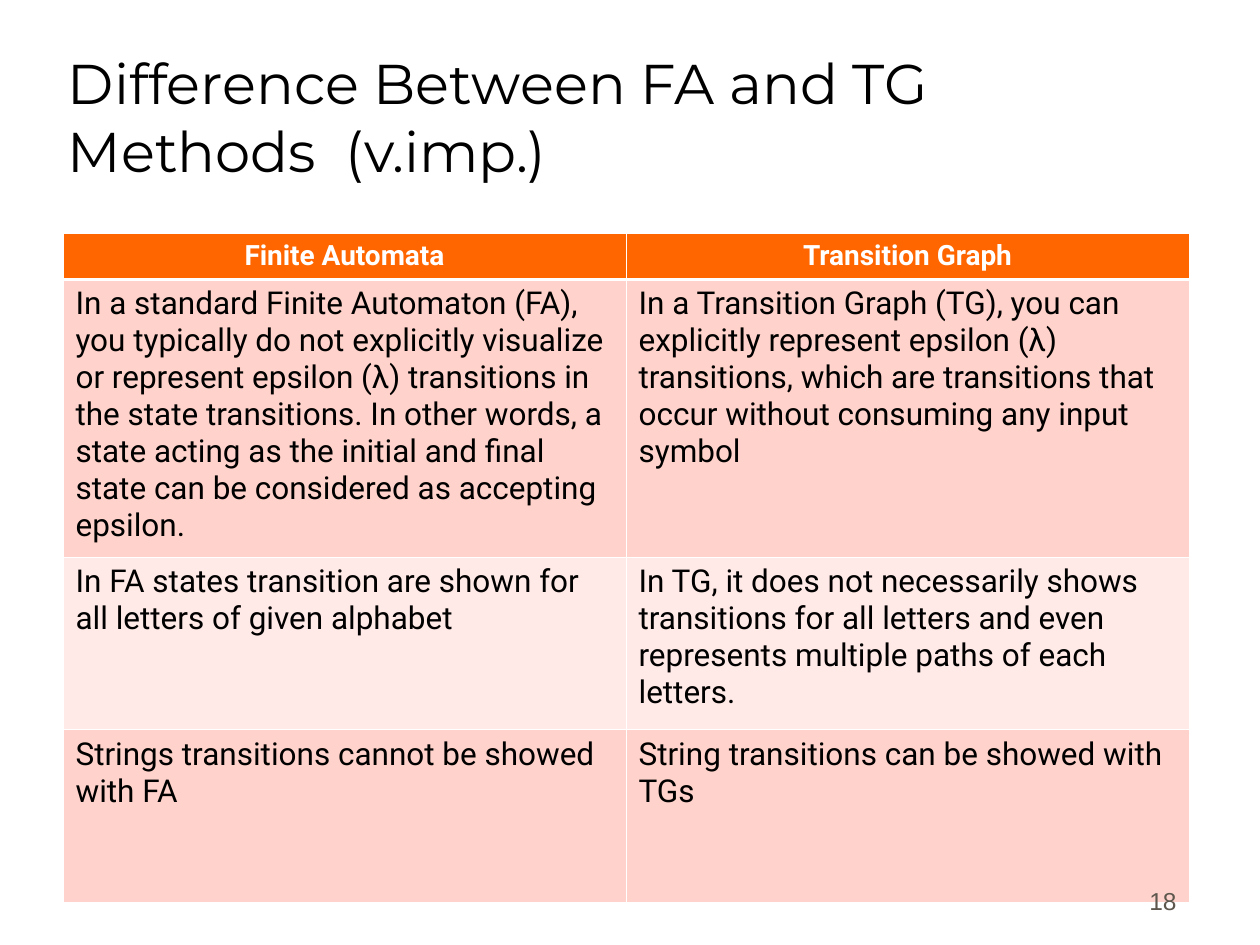
from typing import NamedTuple

from lxml.etree import SubElement
from pptx import Presentation
from pptx.dml.color import RGBColor
from pptx.enum.text import MSO_ANCHOR, PP_ALIGN
from pptx.oxml.ns import qn
from pptx.util import Cm, Pt

COLORS = {
    "black": "000000",
    "white": "FFFFFF",
    "orange": "FF6600",
    "rose": "FFD3CB",
    "blush": "FFEAE7",
    "gray": "5E574E",
}
THIN, THICK = 0.45, 1.47


class Style(NamedTuple):
    font: str
    size: int
    color: str
    bold: bool = False
    align: PP_ALIGN = PP_ALIGN.LEFT


class Label(NamedTuple):
    text: str
    left: float
    top: float
    width: float
    height: float
    style: Style
    before: float = 0


class Row(NamedTuple):
    height: float
    fill: str
    style: Style
    texts: tuple[str, str]


HEAD = Style("Roboto", 16, "white", True, PP_ALIGN.CENTER)
BODY = Style("Roboto", 18, "black")

LABELS = [
    Label("Difference Between FA and TG Methods  (v.imp.)",
          1.12, 0.64, 21.59, 3.18, Style("Montserrat", 32, "black")),
    Label("18", 18.69, 17.3, 5.28, 1.27,
          Style("Arial", 14, "gray", align=PP_ALIGN.RIGHT), 8.8),
]

ROWS = [
    Row(0.9, "orange", HEAD, ("Finite Automata", "Transition Graph")),
    Row(5.6, "rose", BODY, (
        "In a standard Finite Automaton (FA), you typically do not explicitly "
        "visualize or represent epsilon (λ) transitions in the state "
        "transitions. In other words, a state acting as the initial and final "
        "state can be considered as accepting epsilon.",
        "In a Transition Graph (TG), you can explicitly represent epsilon (λ) "
        "transitions, which are transitions that occur without consuming any "
        "input symbol")),
    Row(3.48, "blush", BODY, (
        "In FA states transition are shown for all letters of given alphabet",
        "In TG, it does not necessarily shows transitions for all letters and "
        "even represents multiple paths of each letters.")),
    Row(3.48, "rose", BODY, (
        "Strings transitions cannot be showed with FA",
        "String transitions can be showed with TGs")),
]


def shade(name: str) -> RGBColor:
    return RGBColor.from_string(COLORS[name])


def write(frame, text: str, style: Style) -> None:
    frame.text = text
    line = frame.paragraphs[0]
    line.alignment = style.align
    font = line.runs[0].font
    font.name, font.size, font.bold = style.font, Pt(style.size), style.bold
    font.color.rgb = shade(style.color)


def add_label(slide, label: Label) -> None:
    box = slide.shapes.add_textbox(Cm(label.left), Cm(label.top),
                                   Cm(label.width), Cm(label.height))
    frame = box.text_frame
    frame.word_wrap = True
    frame.vertical_anchor = MSO_ANCHOR.BOTTOM
    write(frame, label.text, label.style)
    frame.paragraphs[0].space_before = Pt(label.before)


def add_edges(cell, top: float, bottom: float) -> None:
    """Put white borders on a cell, ahead of its fill as the schema asks."""
    props = cell._tc.get_or_add_tcPr()
    widths = {"lnL": THIN, "lnR": THIN, "lnT": top, "lnB": bottom}
    for spot, (tag, width) in enumerate(widths.items()):
        edge = SubElement(props, qn(f"a:{tag}"), w=str(Pt(width)))
        fill = SubElement(edge, qn("a:solidFill"))
        SubElement(fill, qn("a:srgbClr"), val=COLORS["white"])
        props.insert(spot, edge)


def add_grid(slide, rows: list[Row]) -> None:
    total = sum(row.height for row in rows)
    table = slide.shapes.add_table(len(rows), 2, Cm(1.27), Cm(4.7),
                                   Cm(22.7), Cm(total)).table
    for i, row in enumerate(rows):
        table.rows[i].height = Cm(row.height)
        for j, text in enumerate(row.texts):
            cell = table.cell(i, j)
            write(cell.text_frame, text, row.style)
            cell.fill.solid()
            cell.fill.fore_color.rgb = shade(row.fill)
            add_edges(cell, THICK if i == 1 else THIN,
                      THICK if i == 0 else THIN)


def main() -> None:
    deck = Presentation()
    deck.slide_width, deck.slide_height = Cm(25.4), Cm(19.05)
    slide = deck.slides.add_slide(deck.slide_layouts[6])
    title, number = LABELS
    add_label(slide, title)
    add_grid(slide, ROWS)
    add_label(slide, number)
    deck.save("out.pptx")


if __name__ == "__main__":
    main()
